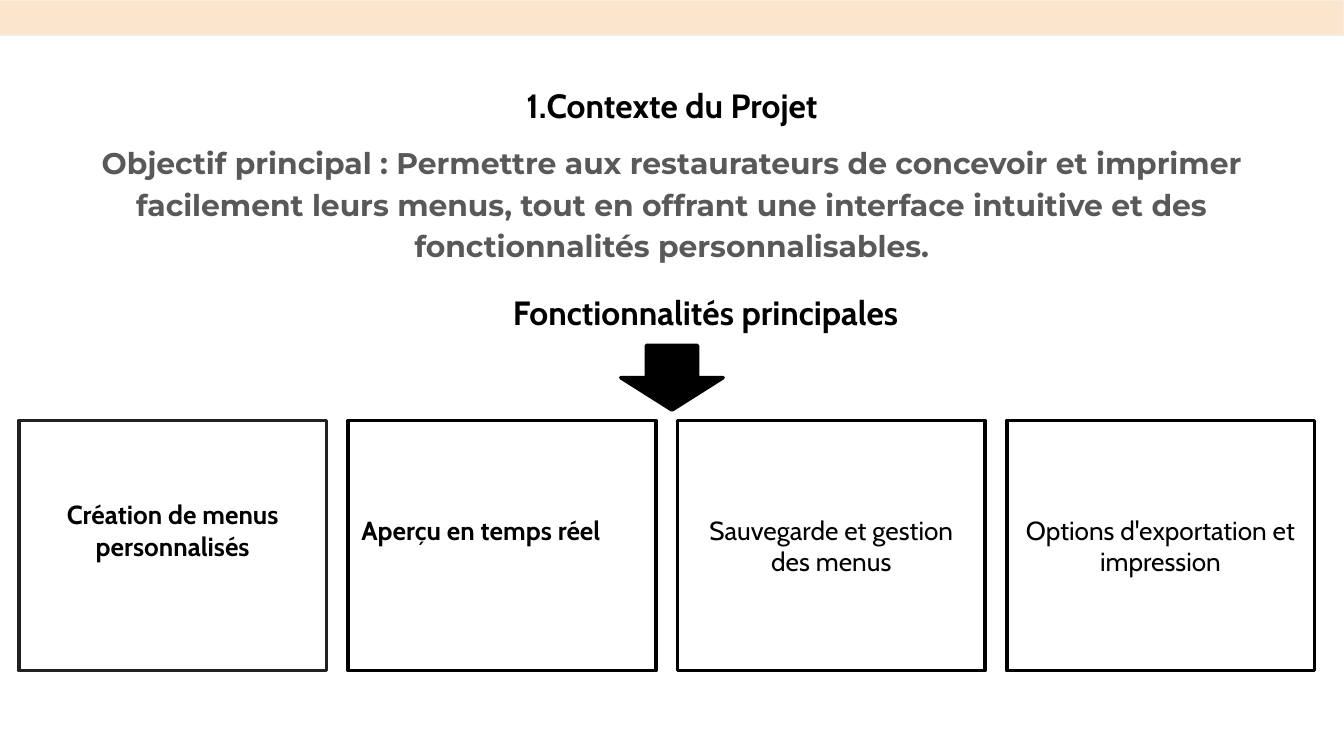
import dataclasses

import lxml.etree
import pptx
import pptx.dml.color
import pptx.enum.shapes
import pptx.enum.text
import pptx.oxml.ns
import pptx.util

SHAPE = pptx.enum.shapes.MSO_SHAPE
ALIGN = pptx.enum.text.PP_ALIGN
ANCHOR = pptx.enum.text.MSO_ANCHOR
Pt = pptx.util.Pt
qn = pptx.oxml.ns.qn

# Page grid: square cells, 100 columns across the slide
COLUMNS, ROWS = 100, 56.25
CELL = pptx.util.Inches(0.1)


@dataclasses.dataclass(frozen=True)
class Theme:
    ink: str = "000000"
    grey: str = "595959"
    paper: str = "FFFFFF"
    soft_ink: str = "212121"
    band: str = "FCE5CD"
    band_edge: str = "F7EDDE"
    heading_font: str = "Cabin"
    body_font: str = "Montserrat"
    heading_size: int = 18
    body_size: int = 16
    card_size: int = 14


@dataclasses.dataclass(frozen=True)
class Box:
    left: float
    top: float
    width: float
    height: float

    def lengths(self):
        sides = (self.left, self.top, self.width, self.height)
        return [round(side * CELL) for side in sides]


THEME = Theme()
CARDS = [
    # wording, bold, alignment, line colour, rows the text is raised
    ("Création de menus personnalisés", True, ALIGN.CENTER, THEME.soft_ink, 2.3),
    ("Aperçu en temps réel", True, ALIGN.LEFT, THEME.ink, 2.3),
    ("Sauvegarde et gestion des menus", False, ALIGN.CENTER, THEME.ink, 0),
    ("Options d'exportation et impression", False, ALIGN.CENTER, THEME.ink, 0),
]


def rgb(value):
    return pptx.dml.color.RGBColor.from_string(value)


def apply(target, formats):
    for name, value in formats.items():
        setattr(target, name, value)


def write(para, text, font, size, color, bold, **formats):
    span = para.add_run()
    span.text = text
    apply(span.font, {"name": font, "size": Pt(size), "bold": bold})
    span.font.color.rgb = rgb(color)
    apply(para, formats)


def set_frame(frame, anchor, raise_rows=0):
    margin = CELL
    apply(frame, {
        "word_wrap": True,
        "auto_size": pptx.enum.text.MSO_AUTO_SIZE.NONE,
        "vertical_anchor": anchor,
        "margin_left": margin,
        "margin_right": margin,
        "margin_top": margin,
        "margin_bottom": round(margin + raise_rows * CELL),
    })


def plain(para, indent=0):
    """Drop the bullet and set the left indent in columns."""
    properties = para._p.get_or_add_pPr()
    properties.set("marL", str(round(indent * CELL)))
    properties.set("indent", "0")
    lxml.etree.SubElement(properties, qn("a:buNone"))


def place(shape, box):
    apply(shape, dict(zip(("left", "top", "width", "height"), box.lengths())))


def add_block(page, kind, box, fill, line, weight=2):
    shape = page.shapes.add_shape(kind, *box.lengths())
    shape.shadow.inherit = False
    shape.fill.solid()
    shape.fill.fore_color.rgb = rgb(fill)
    shape.line.color.rgb = rgb(line)
    shape.line.width = Pt(weight)
    outline = shape._element.spPr.find(qn("a:ln"))
    lxml.etree.SubElement(outline, qn("a:round"))
    return shape


def add_title(page, box):
    title = page.shapes.title
    place(title, box)
    set_frame(title.text_frame, ANCHOR.TOP)
    write(title.text_frame.paragraphs[0], "1.Contexte du Projet",
          THEME.heading_font, THEME.heading_size, THEME.ink, True,
          alignment=ALIGN.CENTER, line_spacing=1.15, space_after=Pt(12))


def add_objective(page, box):
    body = page.placeholders[1]
    place(body, box)
    frame = body.text_frame
    set_frame(frame, ANCHOR.TOP)
    goal, features = frame.paragraphs[0], frame.add_paragraph()
    write(goal, "Objectif principal : Permettre aux restaurateurs de concevoir "
          "et imprimer facilement leurs menus, tout en offrant une interface "
          "intuitive et des fonctionnalités personnalisables.",
          THEME.body_font, THEME.body_size, THEME.grey, True,
          alignment=ALIGN.CENTER, line_spacing=1.15, space_before=Pt(0))
    write(features, "Fonctionnalités principales",
          THEME.heading_font, THEME.heading_size, THEME.ink, True,
          alignment=ALIGN.CENTER, line_spacing=1.15,
          space_before=Pt(12), space_after=Pt(12))
    plain(goal)
    plain(features, indent=5)


def add_cards(page, box, gap):
    width = (box.width - gap * (len(CARDS) - 1)) / len(CARDS)
    for index, (text, bold, alignment, line, raise_rows) in enumerate(CARDS):
        left = box.left + index * (width + gap)
        card = add_block(page, SHAPE.RECTANGLE,
                         Box(left, box.top, width, box.height), THEME.paper, line)
        set_frame(card.text_frame, ANCHOR.MIDDLE, raise_rows)
        write(card.text_frame.paragraphs[0], text, THEME.heading_font,
              THEME.card_size, THEME.ink, bold, alignment=alignment)


def main():
    deck = pptx.Presentation()
    deck.slide_width = round(COLUMNS * CELL)
    deck.slide_height = round(ROWS * CELL)
    page = deck.slides.add_slide(deck.slide_layouts[1])

    # Heading and introduction
    add_title(page, Box(3.4, 4.9, 93.2, 6.3))
    add_objective(page, Box(3.4, 9.4, 93.2, 40.5))

    # Top band
    add_block(page, SHAPE.RECTANGLE, Box(-0.1, 0, COLUMNS + 0.1, 2.6),
              THEME.band, THEME.band_edge, weight=0.75)

    # Feature cards and the arrow leading to them
    add_cards(page, Box(1.4, 31.3, 96.4, 18.6), gap=1.6)
    add_block(page, SHAPE.DOWN_ARROW, Box(46.2, 25.7, 7.6, 4.8),
              THEME.ink, THEME.ink)

    deck.save("out.pptx")


if __name__ == "__main__":
    main()
